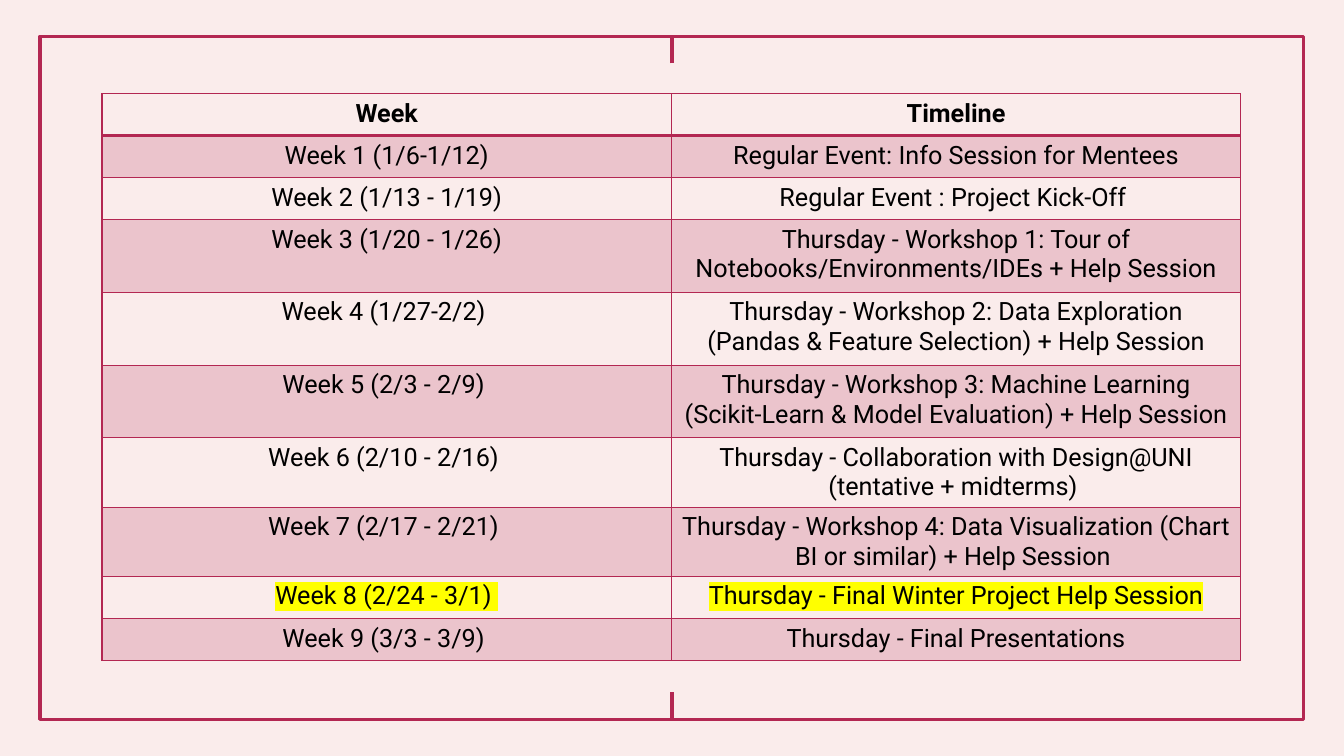
import lxml.etree
import pptx
import pptx.dml.color
import pptx.enum.shapes
import pptx.enum.text
import pptx.oxml.ns
import pptx.util

Cm = pptx.util.Cm
Pt = pptx.util.Pt
qn = pptx.oxml.ns.qn

PAGE_WIDTH, PAGE_HEIGHT = 33.87, 19.05
BACKGROUND = "FAECEB"
CRIMSON = "B32752"
BLACK = "000000"
YELLOW = "FFFF00"

ONE_LINE, TWO_LINES, TWO_LINES_TIGHT = 1.06, 1.83, 1.75
SCHEDULE = [
    ("Week", "Timeline", ONE_LINE),
    ("Week 1 (1/6-1/12)", "Regular Event: Info Session for Mentees", ONE_LINE),
    ("Week 2 (1/13 - 1/19)", "Regular Event : Project Kick-Off ", ONE_LINE),
    ("Week 3 (1/20 - 1/26)",
     "Thursday - Workshop 1: Tour of Notebooks/Environments/IDEs + Help Session", TWO_LINES),
    ("Week 4 (1/27-2/2) ",
     "Thursday - Workshop 2: Data Exploration (Pandas & Feature Selection) + Help Session", TWO_LINES),
    ("Week 5 (2/3 - 2/9) ",
     "Thursday - Workshop 3: Machine Learning (Scikit-Learn & Model Evaluation) + Help Session", TWO_LINES),
    ("Week 6 (2/10 - 2/16) ",
     "Thursday - Collaboration with Design@UNI (tentative + midterms) ", TWO_LINES_TIGHT),
    ("Week 7 (2/17 - 2/21) ",
     "Thursday - Workshop 4: Data Visualization (Chart BI or similar) + Help Session ", TWO_LINES_TIGHT),
    ("Week 8 (2/24 - 3/1) ", "Thursday - Final Winter Project Help Session", ONE_LINE),
    ("Week 9 (3/3 - 3/9) ", "Thursday - Final Presentations", ONE_LINE),
]
HIGHLIGHTED_WEEK = 8


def color(value):
    return pptx.dml.color.RGBColor.from_string(value)


def write_text(frame, text, size=18, font="Roboto", fill=BLACK, bold=False, highlight=None):
    para = frame.paragraphs[0]
    para.alignment = pptx.enum.text.PP_ALIGN.CENTER
    span = para.add_run()
    span.text = text
    span.font.size = Pt(size)
    span.font.name = font
    span.font.bold = bold
    span.font.color.rgb = color(fill)
    if highlight:
        mark = lxml.etree.Element(qn("a:highlight"))
        lxml.etree.SubElement(mark, qn("a:srgbClr"), val=highlight)
        span.font._element.find(qn("a:solidFill")).addnext(mark)


def set_borders(cell, value, widths):
    properties = cell._tc.get_or_add_tcPr()
    for side, width in zip("LRTB", widths):
        line = lxml.etree.SubElement(properties, qn(f"a:ln{side}"), w=str(Pt(width)))
        fill = lxml.etree.SubElement(line, qn("a:solidFill"))
        lxml.etree.SubElement(fill, qn("a:srgbClr"), val=value)


def tint_cell(cell, value, percent):
    cell.fill.solid()
    cell.fill.fore_color.rgb = color(value)
    swatch = cell._tc.tcPr.find(qn("a:solidFill")).find(qn("a:srgbClr"))
    lxml.etree.SubElement(swatch, qn("a:alpha"), val=str(percent * 1000))


def add_tick(page, x, start, end):
    tick = page.shapes.add_connector(
        pptx.enum.shapes.MSO_CONNECTOR.STRAIGHT, Cm(x), Cm(start), Cm(x), Cm(end))
    tick.line.color.rgb = color(CRIMSON)
    tick.line.width = Pt(2.25)
    lxml.etree.SubElement(tick._element.spPr, qn("a:effectLst"))


def add_frame(page, left, top, width, height, tick=0.69):
    border = page.shapes.add_shape(
        pptx.enum.shapes.MSO_SHAPE.RECTANGLE, Cm(left), Cm(top), Cm(width), Cm(height))
    border.shadow.inherit = False
    border.fill.background()
    border.line.color.rgb = color(CRIMSON)
    border.line.width = Pt(2.25)
    middle, bottom = left + width / 2, top + height
    add_tick(page, middle, bottom, bottom - tick)
    add_tick(page, middle, top + tick, top)


def add_schedule(page, left, top, width):
    height = sum(row[-1] for row in SCHEDULE)
    table = page.shapes.add_table(
        len(SCHEDULE), 2, Cm(left), Cm(top), Cm(width), Cm(height)).table
    table.first_row = False
    table.horz_banding = False
    for column in table.columns:
        column.width = Cm(width / 2)
    for week, (*texts, row_height) in enumerate(SCHEDULE):
        table.rows[week].height = Cm(row_height)
        for index, text in enumerate(texts):
            cell = table.cell(week, index)
            set_borders(cell, CRIMSON, (1, 1, 2 if week == 1 else 1, 2 if week == 0 else 1))
            if week % 2:
                tint_cell(cell, CRIMSON, 20)
            else:
                cell.fill.background()
            write_text(cell.text_frame, text, bold=week == 0,
                       highlight=YELLOW if week == HIGHLIGHTED_WEEK else None)


def main():
    deck = pptx.Presentation()
    deck.slide_width, deck.slide_height = Cm(PAGE_WIDTH), Cm(PAGE_HEIGHT)
    page = deck.slides.add_slide(deck.slide_layouts[6])
    page.background.fill.solid()
    page.background.fill.fore_color.rgb = color(BACKGROUND)
    add_frame(page, 1.01, 0.91, 31.85, 17.22)
    add_schedule(page, 2.57, 2.36, 28.7)
    deck.save("out.pptx")


if __name__ == "__main__":
    main()
